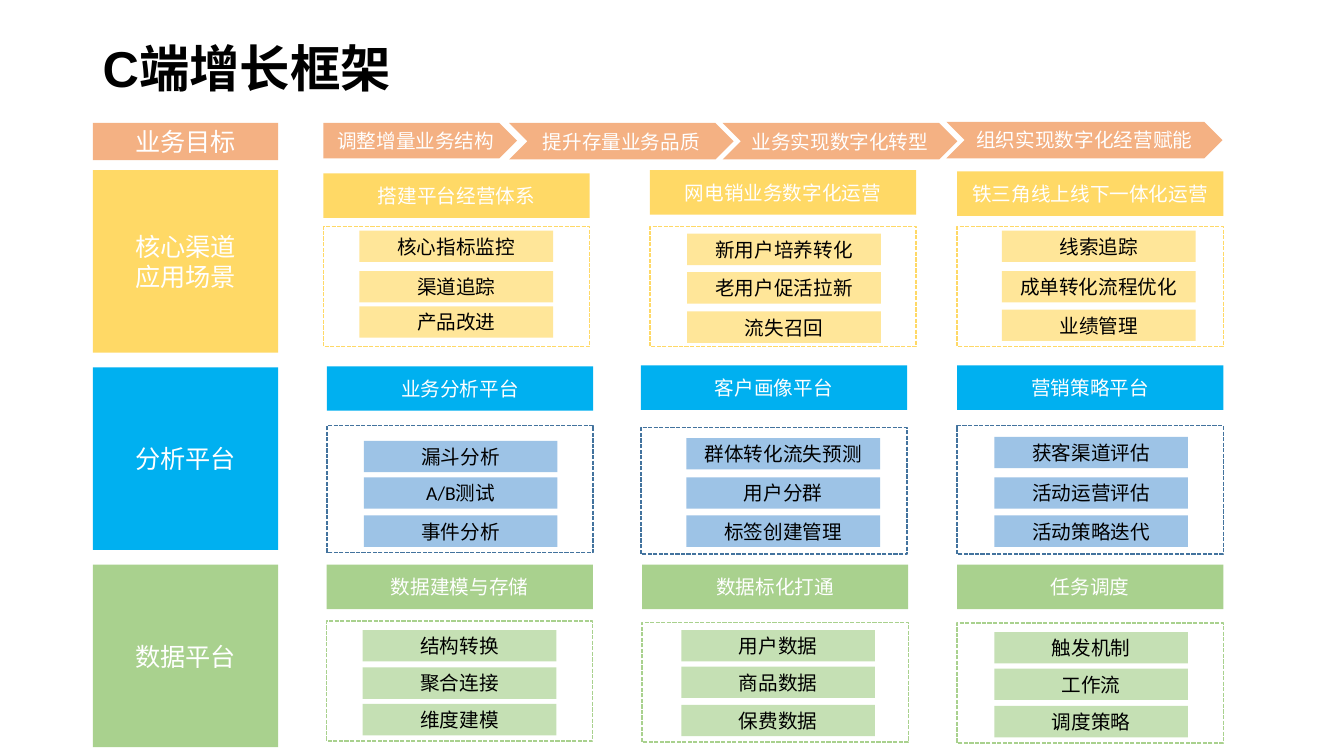
from collections import namedtuple

from pptx import Presentation
from pptx.dml.color import RGBColor
from pptx.enum.dml import MSO_LINE
from pptx.enum.shapes import MSO_SHAPE as SHAPE
from pptx.enum.text import MSO_ANCHOR as ANCHOR, PP_ALIGN as ALIGN
from pptx.util import Cm, Pt

Column = namedtuple("Column", "left head_dy frame_dy frame_h item_dx item_dys title items")
Tier = namedtuple("Tier", "label fill item_fill dash columns")

LABEL_LEFT, LABEL_W, LABEL_H = 2.34, 4.67, 4.6
TIER_TOP, TIER_PITCH = 4.29, 4.97
COLUMN_W, HEAD_H = 6.71, 1.12
ITEM_W, ITEM_H = 4.88, 0.79
WHITE, BLACK, ORANGE = "FFFFFF", "000000", "F4B183"

GOALS = [
    (SHAPE.PENTAGON, 8.15, 3.1, 4.88, 0.89, "调整增量业务结构"),
    (SHAPE.CHEVRON, 12.83, 3.1, 5.66, 0.92, "提升存量业务品质"),
    (SHAPE.CHEVRON, 18.21, 3.1, 5.92, 0.92, "业务实现数字化转型"),
    (SHAPE.CHEVRON, 23.85, 3.07, 6.96, 0.92, "组织实现数字化经营赋能"),
]

TIERS = [
    Tier(["核心渠道", "应用场景"], "FFD966", "FFE699", "FFD966", [
        Column(8.15, 0.08, 1.42, 3.02, 0.91, (1.52, 2.54, 3.43),
               "搭建平台经营体系", ("核心指标监控", "渠道追踪", "产品改进")),
        Column(16.38, 0, 1.42, 3.02, 0.94, (1.6, 2.57, 3.56),
               "网电销业务数字化运营", ("新用户培养转化", "老用户促活拉新", "流失召回")),
        Column(24.12, 0.03, 1.42, 3.02, 1.13, (1.52, 2.54, 3.51),
               "铁三角线上线下一体化运营", ("线索追踪", "成单转化流程优化", "业绩管理")),
    ]),
    Tier(["分析平台"], "00B0F0", "9DC3E6", "43739E", [
        Column(8.24, -0.03, 1.47, 3.2, 0.93, (1.85, 2.77, 3.73),
               "业务分析平台", ("漏斗分析", "A/B测试", "事件分析")),
        Column(16.15, -0.05, 1.52, 3.18, 1.15, (1.78, 2.77, 3.73),
               "客户画像平台", ("群体转化流失预测", "用户分群", "标签创建管理")),
        Column(24.12, -0.05, 1.47, 3.23, 0.94, (1.75, 2.77, 3.73),
               "营销策略平台", ("获客渠道评估", "活动运营评估", "活动策略迭代")),
    ]),
    Tier(["数据平台"], "A9D18E", "C5E0B4", "A9D18E", [
        Column(8.23, 0, 1.42, 3.02, 0.91, (1.65, 2.59, 3.51),
               "数据建模与存储", ("结构转换", "聚合连接", "维度建模")),
        Column(16.18, 0, 1.45, 3.02, 0.99, (1.65, 2.57, 3.53),
               "数据标化打通", ("用户数据", "商品数据", "保费数据")),
        Column(24.12, 0, 1.47, 3.02, 0.94, (1.7, 2.62, 3.56),
               "任务调度", ("触发机制", "工作流", "调度策略")),
    ]),
]


def rgb(value):
    return RGBColor.from_string(value)


def add_run(p, text, size, color, font="Calibri", bold=False):
    r = p.add_run()
    r.text = text
    r.font.size = Pt(size)
    r.font.name = font
    r.font.bold = bold
    r.font.color.rgb = rgb(color)


def add_block(slide, box, fill, lines, size=14, color=WHITE, kind=SHAPE.RECTANGLE):
    sp = slide.shapes.add_shape(kind, *map(Cm, box))
    sp.shadow.inherit = False
    sp.fill.solid()
    sp.fill.fore_color.rgb = rgb(fill)
    sp.line.fill.background()
    tf = sp.text_frame
    tf.word_wrap = True
    tf.margin_left = tf.margin_right = 0
    tf.vertical_anchor = ANCHOR.MIDDLE
    for i, line in enumerate(lines):
        p = tf.add_paragraph() if i else tf.paragraphs[0]
        p.alignment = ALIGN.CENTER
        add_run(p, line, size, color)


def add_frame(slide, box, color):
    sp = slide.shapes.add_shape(SHAPE.RECTANGLE, *map(Cm, box))
    sp.shadow.inherit = False
    sp.fill.background()
    sp.line.color.rgb = rgb(color)
    sp.line.width = Pt(1)
    sp.line.dash_style = MSO_LINE.SQUARE_DOT


def add_title(slide, box, text):
    tf = slide.shapes.add_textbox(*map(Cm, box)).text_frame
    tf.word_wrap = True
    tf.vertical_anchor = ANCHOR.MIDDLE
    p = tf.paragraphs[0]
    p.line_spacing = 0.9
    add_run(p, text, 36, BLACK, "Arial", True)


def add_goals(slide, left, top):
    add_block(slide, (left, top, LABEL_W, 0.94), ORANGE, ["业务目标"], 18)
    for kind, *box, text in GOALS:
        add_block(slide, box, ORANGE, [text], kind=kind)


def add_column(slide, top, tier, col):
    add_block(slide, (col.left, top + col.head_dy, COLUMN_W, HEAD_H), tier.fill, [col.title])
    add_frame(slide, (col.left, top + col.frame_dy, COLUMN_W, col.frame_h), tier.dash)
    for dy, text in zip(col.item_dys, col.items):
        box = (col.left + col.item_dx, top + dy, ITEM_W, ITEM_H)
        add_block(slide, box, tier.item_fill, [text], color=BLACK)


def add_tier(slide, left, top, tier):
    add_block(slide, (left, top, LABEL_W, LABEL_H), tier.fill, tier.label, 18)
    for col in tier.columns:
        add_column(slide, top, tier, col)


def main():
    prs = Presentation()
    prs.slide_width, prs.slide_height = Cm(33.87), Cm(19.05)
    slide = prs.slides.add_slide(prs.slide_layouts[6])
    add_title(slide, (LABEL_LEFT, 1.02, 29.21, 1.57), "C端增长框架")
    add_goals(slide, LABEL_LEFT, 3.1)
    for i, tier in enumerate(TIERS):
        add_tier(slide, LABEL_LEFT, TIER_TOP + i * TIER_PITCH, tier)
    prs.save("out.pptx")


if __name__ == "__main__":
    main()
